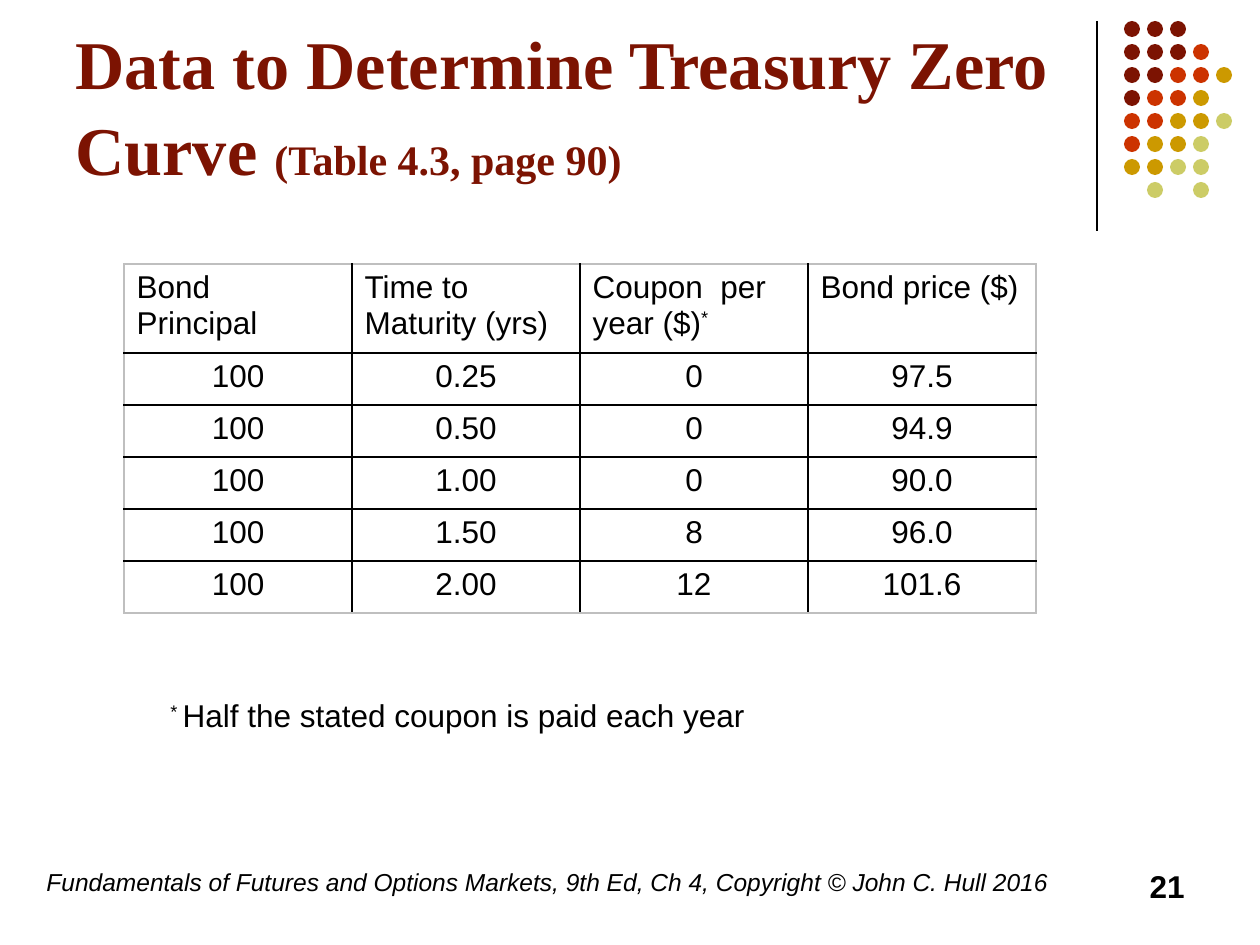
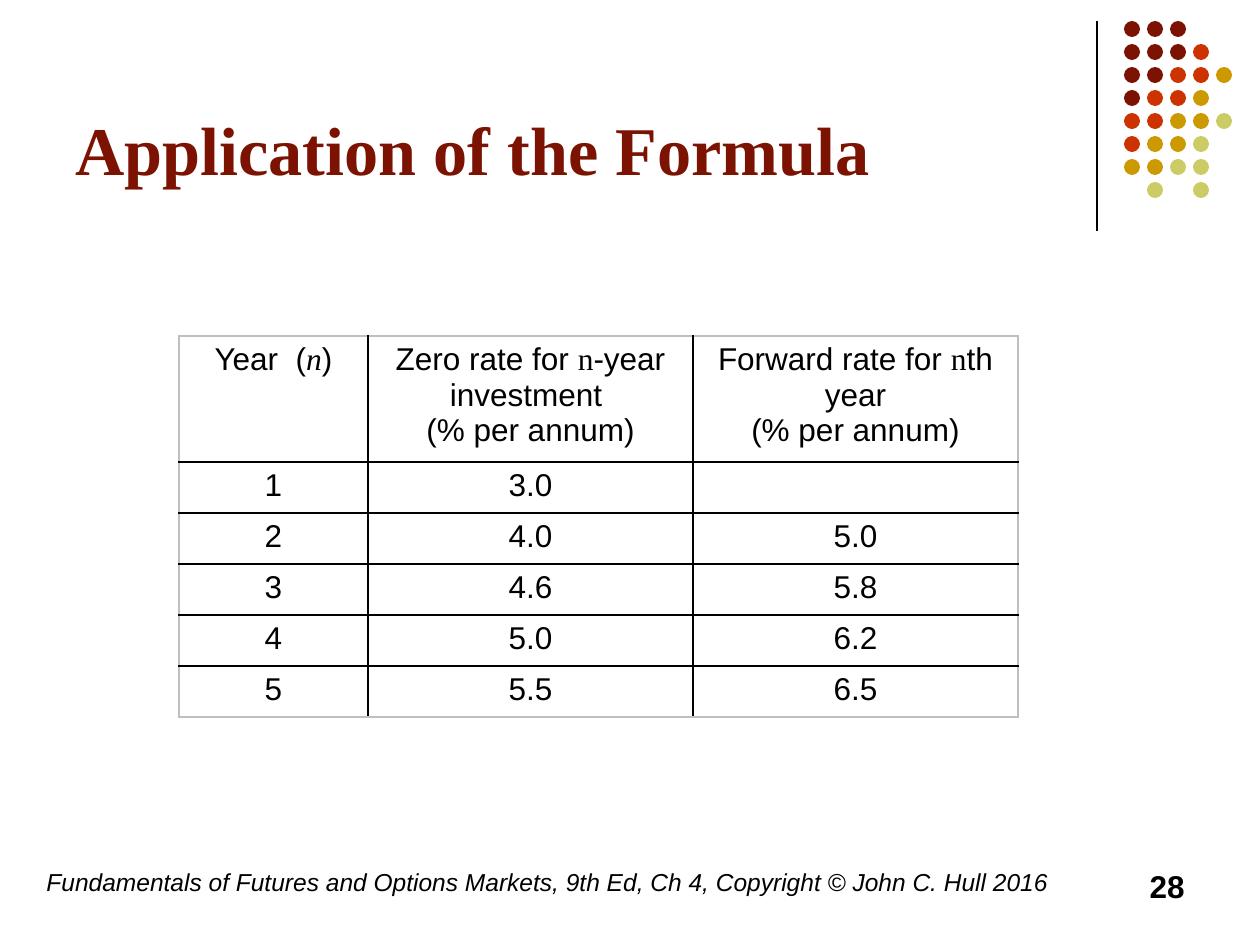
from lxml import etree
from pptx import Presentation
from pptx.dml.color import RGBColor
from pptx.enum.shapes import MSO_CONNECTOR, MSO_SHAPE
from pptx.enum.text import MSO_ANCHOR, PP_ALIGN
from pptx.oxml.ns import qn
from pptx.util import Emu, Pt

LEFT, CENTER, RIGHT = PP_ALIGN.LEFT, PP_ALIGN.CENTER, PP_ALIGN.RIGHT
TOP, BOTTOM = MSO_ANCHOR.TOP, MSO_ANCHOR.BOTTOM
OVAL, STRAIGHT = MSO_SHAPE.OVAL, MSO_CONNECTOR.STRAIGHT

BLACK = RGBColor(0x00, 0x00, 0x00)
GRAY = RGBColor(0xBF, 0xBF, 0xBF)
MAROON = RGBColor(0x7C, 0x13, 0x02)
RED = RGBColor(0xCC, 0x33, 0x00)
GOLD = RGBColor(0xCC, 0x99, 0x00)
OLIVE = RGBColor(0xCC, 0xCC, 0x66)

SANS, SERIF = "Arial", "Times New Roman"
PX_PER_INCH = 126
FOOTER = "Fundamentals of Futures and Options Markets, 9th Ed, Ch 4, Copyright © John C. Hull 2016"

DOT_COLORS = {"M": MAROON, "R": RED, "G": GOLD, "O": OLIVE}
DOT_ROWS = ["MMM", "MMMR", "MMRRG", "MRRG", "RRGGO", "RGGO", "GGOO", " O O"]
DOT_SIZE, DOT_PITCH = 16, 23


def px(length):
    return Emu(round(length * 914400 / PX_PER_INCH))


def px_all(*lengths):
    return [px(length) for length in lengths]


def write(para, spans, align=LEFT, **base):
    """Fill a paragraph from a string or a list of strings and (string, changes)."""
    para.alignment = align
    for part in [spans] if isinstance(spans, str) else spans:
        text, changes = (part, {}) if isinstance(part, str) else part
        style = {"size": 18, "name": SANS, "color": BLACK, **base, **changes}
        span = para.add_run()
        span.text = text
        span.font.size = Pt(style["size"])
        span.font.name = style["name"]
        span.font.color.rgb = style["color"]
        span.font.bold = style.get("bold", False)
        span.font.italic = style.get("italic", False)
        if style.get("raised"):
            span.font._element.set("baseline", "30000")


def add_text(page, box, spans, anchor=TOP, **style):
    frame = page.shapes.add_textbox(*px_all(*box)).text_frame
    frame.word_wrap = True
    frame.vertical_anchor = anchor
    write(frame.paragraphs[0], spans, **style)
    return frame


def add_dots(page, left, top):
    dots = page.shapes.add_group_shape().shapes
    for row, codes in enumerate(DOT_ROWS):
        for column, code in enumerate(codes):
            if code == " ":
                continue
            dot = dots.add_shape(OVAL, *px_all(left + column * DOT_PITCH, top + row * DOT_PITCH,
                                               DOT_SIZE, DOT_SIZE))
            dot.shadow.inherit = False
            dot.fill.solid()
            dot.fill.fore_color.rgb = DOT_COLORS[code]
            dot.line.fill.background()


def add_page(deck, title, number):
    """Blank page with the shared rule, dots, title and footer."""
    page = deck.slides.add_slide(deck.slide_layouts[6])
    # Corner ornament
    rule = page.shapes.add_connector(STRAIGHT, *px_all(1097, 21, 1097, 231))
    rule.line.color.rgb = BLACK
    rule.line.width = Pt(0.75)
    etree.SubElement(rule._element.spPr, qn("a:effectLst"))
    add_dots(page, 1124, 21)
    # Title
    frame = add_text(page, (63, 16, 1040, 179), title, BOTTOM,
                     size=39, name=SERIF, color=MAROON, bold=True)
    frame.paragraphs[0].line_spacing = 1.05
    # Footer
    add_text(page, (34, 861, 1042, 63), FOOTER, size=14, italic=True)
    add_text(page, (903, 861, 294, 63), str(number), align=RIGHT, bold=True)
    return page


def add_border(cell, side, color):
    line = etree.SubElement(cell._tc.get_or_add_tcPr(), qn(f"a:ln{side}"), w=str(Pt(1)))
    fill = etree.SubElement(line, qn("a:solidFill"))
    etree.SubElement(fill, qn("a:srgbClr"), val=str(color))


def add_grid(page, left, top, widths, header_height, row_height, header, rows, header_align):
    """Table with black inner lines and a gray frame; a header cell is a list of paragraphs."""
    last_row, last_column = len(rows), len(widths) - 1
    heights = [header_height] + [row_height] * len(rows)
    box = px_all(left, top, sum(widths), sum(heights))
    table = page.shapes.add_table(len(heights), len(widths), *box).table
    table.first_row = table.horz_banding = False
    for column, width in zip(table.columns, widths):
        column.width = px(width)
    for row, height in zip(table.rows, heights):
        row.height = px(height)

    body = [[[text] for text in values] for values in rows]
    for r, values in enumerate([header] + body):
        for c, paragraphs in enumerate(values):
            cell = table.cell(r, c)
            frame = cell.text_frame
            for index, spans in enumerate(paragraphs):
                para = frame.add_paragraph() if index else frame.paragraphs[0]
                write(para, spans, header_align if r == 0 else CENTER)
            outer = {"L": c == 0, "R": c == last_column, "T": r == 0, "B": r == last_row}
            for side, is_outer in outer.items():
                add_border(cell, side, GRAY if is_outer else BLACK)
            cell.fill.background()


def add_treasury_page(deck):
    page = add_page(deck, ["Data to Determine Treasury Zero Curve ",
                           ("(Table 4.3, page 90)", {"size": 24})], 21)
    header = [["Bond Principal"], ["Time to Maturity (yrs)"],
              [["Coupon  per year ($)", ("*", {"raised": True})]], ["Bond price ($)"]]
    rows = [
        ("100", "0.25", "0", "97.5"),
        ("100", "0.50", "0", "94.9"),
        ("100", "1.00", "0", "90.0"),
        ("100", "1.50", "8", "96.0"),
        ("100", "2.00", "12", "101.6"),
    ]
    add_grid(page, 124, 264, [228] * 4, 89, 52, header, rows, LEFT)
    # Footnote
    add_text(page, (158, 690, 777, 50),
             [("* ", {"raised": True}), "Half the stated coupon is paid each year"])


def add_forward_page(deck):
    page = add_page(deck, "Application of the Formula", 28)
    n = ("n", {"name": SERIF})
    unit = "(% per annum)"
    header = [[["Year  (", ("n", {"name": SERIF, "italic": True}), ")"]],
              [["Zero rate for ", n, "-year investment "], unit],
              [["Forward rate for ", n, "th year"], unit]]
    rows = [
        ("1", "3.0", ""),
        ("2", "4.0", "5.0"),
        ("3", "4.6", "5.8"),
        ("4", "5.0", "6.2"),
        ("5", "5.5", "6.5"),
    ]
    add_grid(page, 179, 336, [189, 325, 325], 119, 51, header, rows, CENTER)


def main():
    deck = Presentation()
    deck.slide_width, deck.slide_height = px_all(1260, 945)
    add_treasury_page(deck)
    add_forward_page(deck)
    deck.save("out.pptx")


if __name__ == "__main__":
    main()
